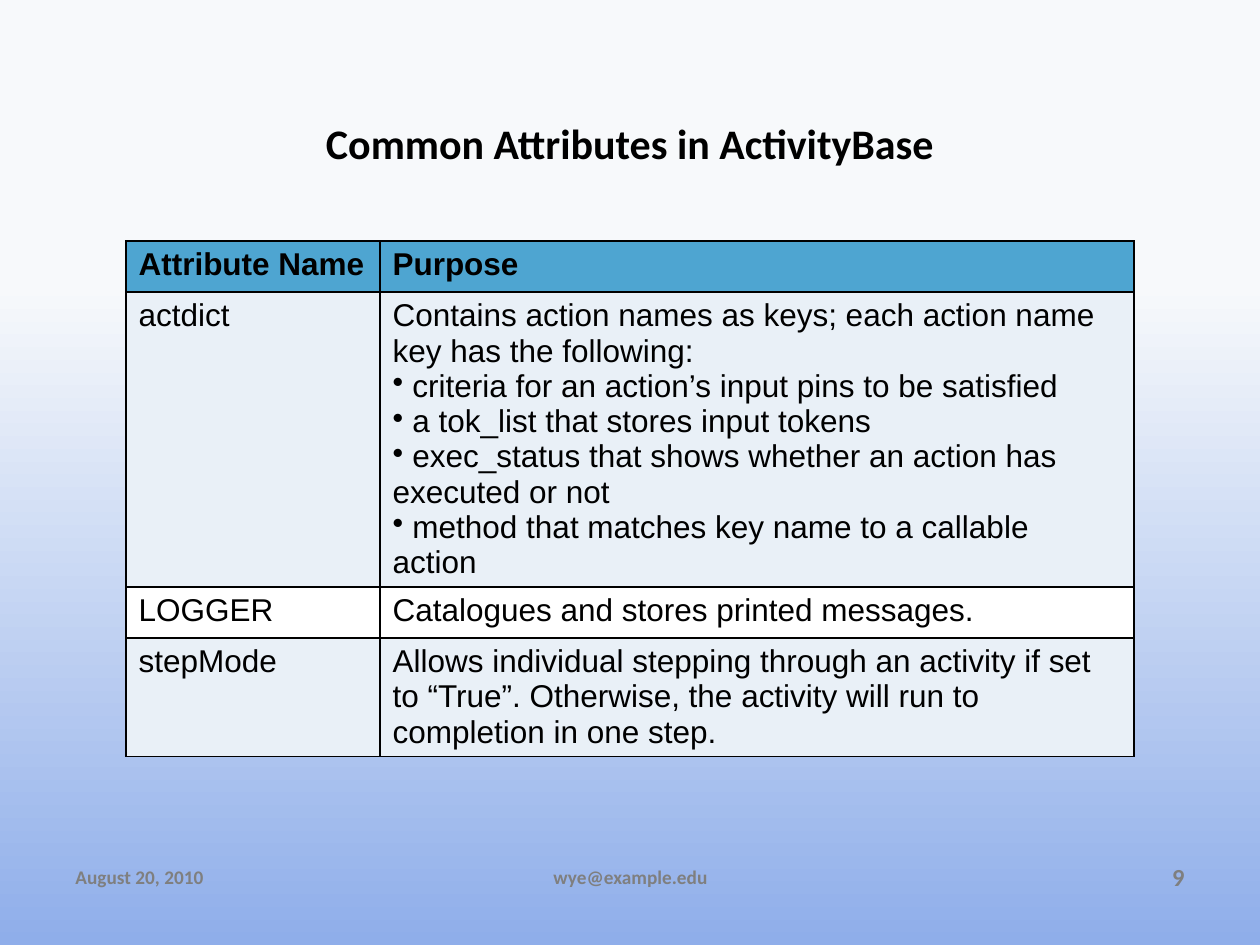
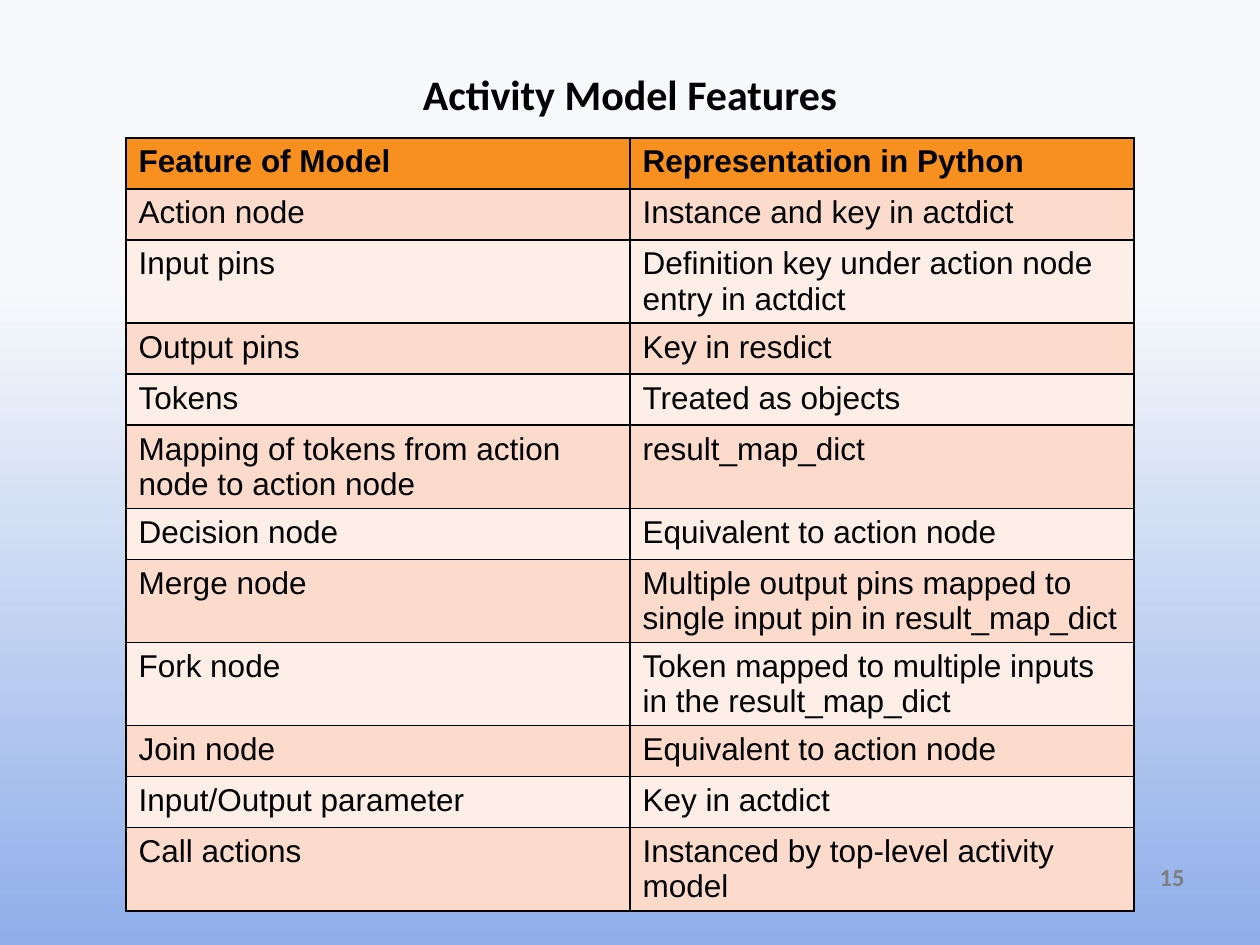
from dataclasses import dataclass

from lxml import etree
from pptx import Presentation
from pptx.dml.color import RGBColor
from pptx.enum.text import MSO_ANCHOR, MSO_AUTO_SIZE, PP_ALIGN
from pptx.oxml.ns import qn
from pptx.util import Emu, Pt

LEFT, CENTER, RIGHT = PP_ALIGN.LEFT, PP_ALIGN.CENTER, PP_ALIGN.RIGHT
MIDDLE = MSO_ANCHOR.MIDDLE
NO_FIT = MSO_AUTO_SIZE.NONE
SCALE = 914400 / 126
TITLE_ONLY = 5


@dataclass(frozen=True)
class Theme:
    heading_font: str = "Calibri"
    table_font: str = "Arial"
    ink: str = "000000"
    muted: str = "7F7F7F"
    sky_top: str = "F7F9FB"
    sky_bottom: str = "8FAEEA"
    blue_rows: tuple = ("4EA5D1", "E9F0F7", "FFFFFF")
    orange_rows: tuple = ("F7901E", "FCDBCD", "FDEEE8")
    title_size: int = 24
    title_leading: int = 56
    table_size: int = 18
    number_size: int = 14
    footer_size: int = 11
    border_width: int = 1


theme = Theme()


def px(value):
    return Emu(round(value * SCALE))


def write(frame, text, font=theme.heading_font, size=theme.footer_size, color=theme.muted,
          bold=True, align=LEFT, leading=None, bullet="•"):
    frame.word_wrap = True
    for index, line in enumerate(text.split("\n")):
        para = frame.paragraphs[0] if index == 0 else frame.add_paragraph()
        para.alignment = align
        if leading:
            para.line_spacing = Pt(leading)
        if line.startswith(bullet):
            line = line[len(bullet):]
            properties = para._p.get_or_add_pPr()
            properties.set("marL", "0")
            properties.set("indent", "0")
            etree.SubElement(properties, qn("a:buChar")).set("char", bullet)
        span = para.add_run()
        span.text = line
        span.font.name = font
        span.font.size = Pt(size)
        span.font.bold = bold
        span.font.color.rgb = RGBColor.from_string(color)


PAGES = [
    {
        "title": "Common Attributes in ActivityBase",
        "title_top": 32, "title_height": 174,
        "table_top": 241, "columns": (254, 754), "fills": theme.blue_rows,
        "rows": [
            ("Attribute Name", "Purpose"),
            ("actdict",
             "Contains action names as keys; each action name key has the following:\n"
             "• criteria for an action’s input pins to be satisfied\n"
             "• a tok_list that stores input tokens\n"
             "• exec_status that shows whether an action has executed or not\n"
             "• method that matches key name to a callable action"),
            ("LOGGER", "Catalogues and stores printed messages."),
            ("stepMode",
             "Allows individual stepping through an activity if set to “True”. "
             "Otherwise, the activity will run to completion in one step."),
        ],
        "date": "August 20, 2010", "contact": "wye@example.edu", "number": "9",
    },
    {
        "title": "Activity Model Features",
        "title_top": 0, "title_height": 139,
        "table_top": 138, "columns": (504, 504), "fills": theme.orange_rows,
        "rows": [
            ("Feature of Model", "Representation in Python"),
            ("Action node", "Instance and key in actdict"),
            ("Input pins", "Definition key under action node entry in actdict"),
            ("Output pins", "Key in resdict"),
            ("Tokens", "Treated as objects"),
            ("Mapping of tokens from action node to action node", "result_map_dict"),
            ("Decision node", "Equivalent to action node"),
            ("Merge node", "Multiple output pins mapped to single input pin in result_map_dict"),
            ("Fork node", "Token mapped to multiple inputs in the result_map_dict"),
            ("Join node", "Equivalent to action node"),
            ("Input/Output parameter", "Key in actdict"),
            ("Call actions", "Instanced by top-level activity model"),
        ],
        "number": "15",
    },
]
FOOTERS = [
    ("date", 63, 294, LEFT, theme.footer_size),
    ("contact", 431, 399, CENTER, theme.footer_size),
    ("number", 903, 294, RIGHT, theme.number_size),
]
FOOTER_TOP, FOOTER_HEIGHT = 858, 38
MARGIN, CONTENT_WIDTH, ROW_HEIGHT = 126, 1008, 51

deck = Presentation()
deck.slide_width, deck.slide_height = px(1260), px(945)

sky = deck.slide_master.background.fill
sky.gradient()
sky.gradient_angle = 270
for stop, color, position in zip(sky.gradient_stops, (theme.sky_top, theme.sky_bottom), (0.3, 1)):
    stop.color.rgb = RGBColor.from_string(color)
    stop.position = position
top_color = next(deck.slide_master.background._cSld.iter(qn("a:srgbClr")))
etree.SubElement(top_color, qn("a:alpha")).set("val", "80000")

for content in PAGES:
    page = deck.slides.add_slide(deck.slide_layouts[TITLE_ONLY])

    title = page.shapes.title
    title.left, title.top = px(MARGIN), px(content["title_top"])
    title.width, title.height = px(CONTENT_WIDTH), px(content["title_height"])
    title.text_frame.auto_size = NO_FIT
    title.text_frame.vertical_anchor = MIDDLE
    write(title.text_frame, content["title"], size=theme.title_size, color=theme.ink,
          align=CENTER, leading=theme.title_leading)

    rows, columns = content["rows"], content["columns"]
    table = page.shapes.add_table(
        len(rows), len(columns), px(MARGIN), px(content["table_top"]),
        px(CONTENT_WIDTH), px(ROW_HEIGHT * len(rows))).table
    for column, width in zip(table.columns, columns):
        column.width = px(width)
    header_fill, *band_fills = content["fills"]
    for row_index, row in enumerate(rows):
        is_header = row_index == 0
        fill = header_fill if is_header else band_fills[(row_index - 1) % 2]
        for column_index, text in enumerate(row):
            cell = table.cell(row_index, column_index)
            cell_properties = cell._tc.get_or_add_tcPr()
            for side in ("L", "R", "T", "B"):
                border = etree.SubElement(cell_properties, qn(f"a:ln{side}"))
                border.set("w", str(Pt(theme.border_width)))
                solid = etree.SubElement(border, qn("a:solidFill"))
                etree.SubElement(solid, qn("a:srgbClr")).set("val", theme.ink)
            cell.fill.solid()
            cell.fill.fore_color.rgb = RGBColor.from_string(fill)
            write(cell.text_frame, text, font=theme.table_font, size=theme.table_size,
                  color=theme.ink, bold=is_header)

    for name, left, width, align, size in FOOTERS:
        if name in content:
            box = page.shapes.add_textbox(px(left), px(FOOTER_TOP), px(width), px(FOOTER_HEIGHT))
            box.text_frame.vertical_anchor = MIDDLE
            write(box.text_frame, content[name], size=size, align=align)

deck.save("out.pptx")
